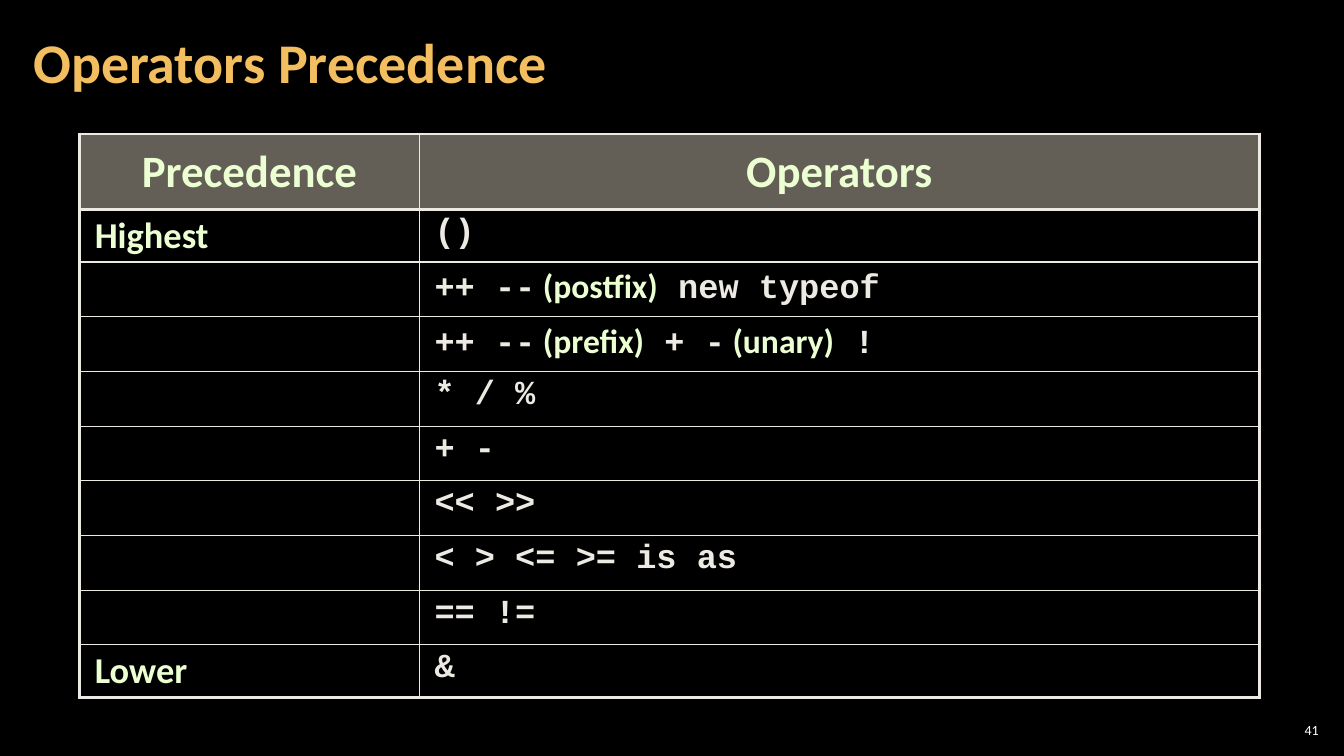
from lxml import etree
from pptx import Presentation
from pptx.dml.color import RGBColor
from pptx.enum.text import MSO_ANCHOR, PP_ALIGN
from pptx.oxml.ns import qn
from pptx.util import Inches, Pt

LEFT, CENTER, RIGHT = PP_ALIGN.LEFT, PP_ALIGN.CENTER, PP_ALIGN.RIGHT
TOP, MIDDLE = MSO_ANCHOR.TOP, MSO_ANCHOR.MIDDLE

BLACK = RGBColor(0x00, 0x00, 0x00)
WHITE = RGBColor(0xFF, 0xFF, 0xFF)
GOLD = RGBColor(0xF3, 0xBE, 0x60)
MINT = RGBColor(0xEB, 0xFF, 0xD2)
CREAM = RGBColor(0xEC, 0xEA, 0xE3)
TAUPE = RGBColor(0xC7, 0xBF, 0xAC)

SANS, MONO = "Calibri", "Courier New"

TITLE = "Operators Precedence"
NUMBER = "41"
HEAD = ("Precedence", "Operators")
# Each row: level, then operators (code) alternating with remarks
ROWS = [
    ("Highest", ["()"]),
    ("", ["++ --", " (postfix)", " new typeof"]),
    ("", ["++ --", " (prefix)", " + -", " (unary)", " !"]),
    ("", ["* / %"]),
    ("", ["+ -"]),
    ("", ["<< >>"]),
    ("", ["< > <= >= is as"]),
    ("", ["== !="]),
    ("Lower", ["&"]),
]

WIDTH, HEIGHT = 13.33, 7.5
GRID_X, GRID_Y, GRID_H = 0.79, 1.33, 5.59
COLS = (3.37, 8.33)
HEAD_H, LABEL_H = 0.75, 0.52
PLAIN_H = (GRID_H - HEAD_H - 2 * LABEL_H) / (len(ROWS) - 2)
THICK, THIN = 2.25, 1


def write(frame, runs, size=24, color=MINT, font=SANS, bold=True,
          align=LEFT, space=None):
    """Fill the first paragraph; a run is text or (text, font, color)."""
    para = frame.paragraphs[0]
    para.alignment = align
    para.line_spacing = space
    for item in runs:
        text, face, tint = (item, font, color) if isinstance(item, str) else item
        run = para.add_run()
        run.text = text
        run.font.name = face
        run.font.size = Pt(size)
        run.font.bold = bold
        run.font.color.rgb = tint


def add_text(slide, box, text, pad, **style):
    frame = slide.shapes.add_textbox(*map(Inches, box)).text_frame
    frame.word_wrap = True
    frame.vertical_anchor = MIDDLE
    frame.margin_left = frame.margin_right = Inches(pad)
    frame.margin_top = frame.margin_bottom = Inches(0.04)
    write(frame, [text], **style)


def set_lines(cell, **widths):
    props = cell._tc.get_or_add_tcPr()
    for side in "LRTB":
        line = etree.SubElement(props, qn(f"a:ln{side}"), w=str(Pt(widths[side])))
        fill = etree.SubElement(line, qn("a:solidFill"))
        etree.SubElement(fill, qn("a:srgbClr"), val=str(CREAM))


def style_cell(cell, row, col):
    cell.margin_left = cell.margin_right = Inches(0.15)
    cell.margin_top = cell.margin_bottom = Inches(0.05)
    cell.vertical_anchor = MIDDLE if row == 0 or col == 0 else TOP
    set_lines(cell,
              L=THIN if col else THICK,
              R=THICK if col else THIN,
              T=THICK if row <= 2 else THIN,
              B=THICK if row in (0, 1, len(ROWS)) else THIN)
    if row:
        cell.fill.background()
        return
    cell.fill.solid()
    cell.fill.fore_color.rgb = TAUPE
    tint = cell._tc.tcPr.find(f"{qn('a:solidFill')}/{qn('a:srgbClr')}")
    etree.SubElement(tint, qn("a:alpha"), val="50000")


def add_grid(slide):
    grid = slide.shapes.add_table(
        len(ROWS) + 1, len(COLS), Inches(GRID_X), Inches(GRID_Y),
        Inches(sum(COLS)), Inches(GRID_H)).table
    grid.horz_banding = grid.first_row = False
    for col, width in enumerate(COLS):
        grid.columns[col].width = Inches(width)
        for row in range(len(ROWS) + 1):
            style_cell(grid.cell(row, col), row, col)
        write(grid.cell(0, col).text_frame, [HEAD[col]], size=32,
              align=CENTER, space=0.95)
    grid.rows[0].height = Inches(HEAD_H)
    for row, (level, parts) in enumerate(ROWS, 1):
        grid.rows[row].height = Inches(LABEL_H if level else PLAIN_H)
        if level:
            write(grid.cell(row, 0).text_frame, [level], size=26, space=0.95)
        runs = [(part, SANS, MINT) if i % 2 else (part, MONO, CREAM)
                for i, part in enumerate(parts)]
        write(grid.cell(row, 1).text_frame, runs, space=0.95)


def main():
    deck = Presentation()
    deck.slide_width, deck.slide_height = Inches(WIDTH), Inches(HEIGHT)
    slide = deck.slides.add_slide(deck.slide_layouts[6])
    slide.background.fill.solid()
    slide.background.fill.fore_color.rgb = BLACK
    add_text(slide, (12.65, 7.14, 0.47, 0.21), NUMBER, 0.04, size=10,
             color=WHITE, bold=False, align=RIGHT)
    add_grid(slide)
    add_text(slide, (0.21, 0.04, 10.47, 1.21), TITLE, 0.12, size=40,
             color=GOLD, space=0.9)
    deck.save("out.pptx")


if __name__ == "__main__":
    main()
